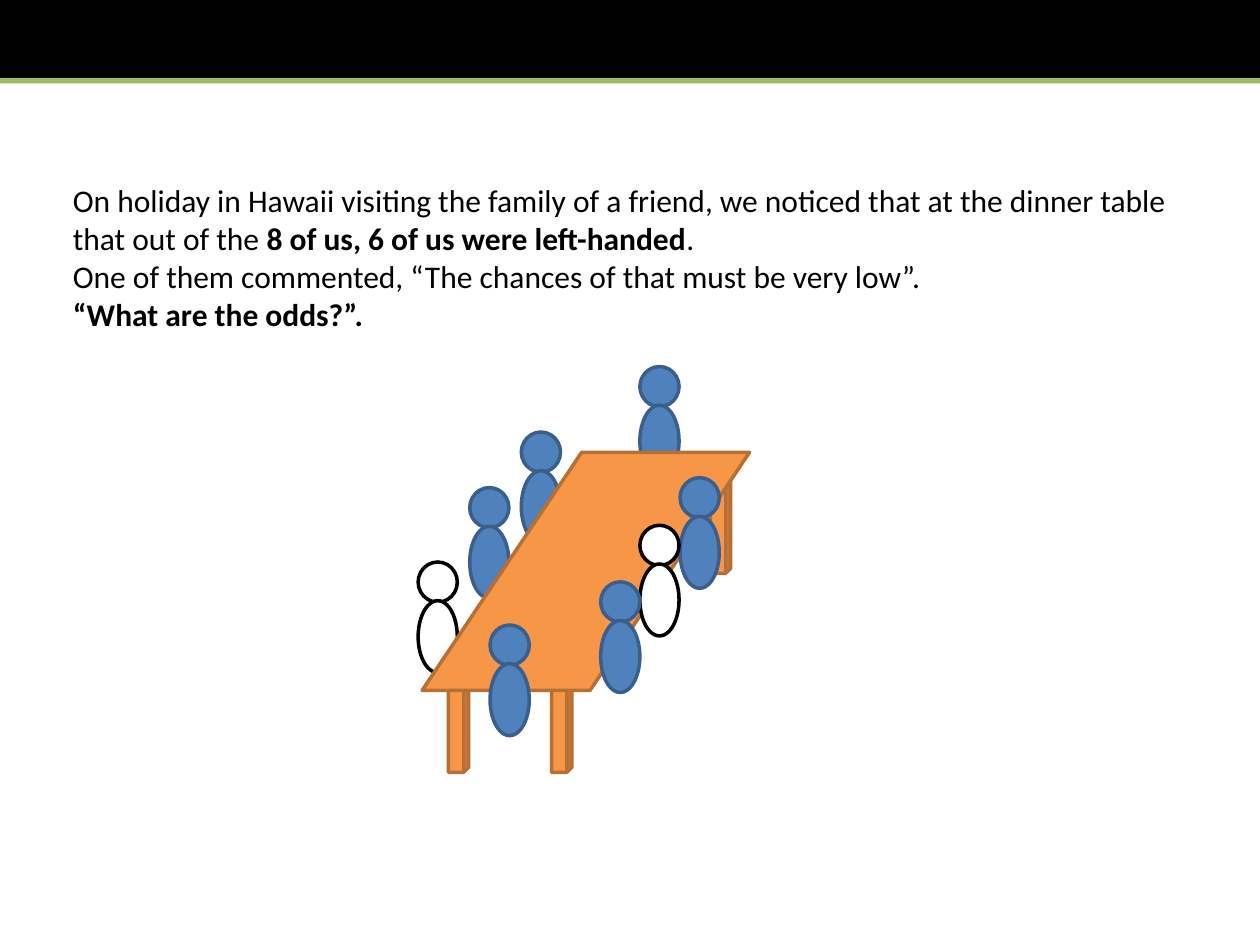
import pptx
import pptx.util
import pptx.dml.color
import pptx.enum.shapes
import pptx.enum.text
import pptx.oxml

Cm = pptx.util.Cm
Pt = pptx.util.Pt
SHAPE = pptx.enum.shapes.MSO_SHAPE

LEFT_HANDED = ("4F81BD", "3A5F8C")
RIGHT_HANDED = ("FFFFFF", "000000")
WOOD = ("F79646", "B76F34")

# Seats as (left, top, colours) in cm within the dinner scene
SEATS_BEHIND = [
    (2.08, 1.32, LEFT_HANDED),
    (1.04, 2.44, LEFT_HANDED),
    (0, 3.94, RIGHT_HANDED),
    (4.47, 0, LEFT_HANDED),
]
SEATS_IN_FRONT = [
    (5.28, 2.24, LEFT_HANDED),
    (4.47, 3.2, RIGHT_HANDED),
    (1.45, 5.21, LEFT_HANDED),
    (3.68, 4.34, LEFT_HANDED),
]
TABLE_LEGS = [(0.61, 6.25), (2.69, 6.25), (5.89, 2.24)]

# Paragraphs as lists of (text, bold)
STORY = [
    [
        ("On holiday in Hawaii visiting the family of a friend, we noticed that "
         "at the dinner table that out of the ", False),
        ("8 of us, 6 of us were left-handed", True),
        (".", False),
    ],
    [("One of them commented, “The chances of that must be very low”.", False)],
    [("“What are the odds?”.", True)],
]


def color(value):
    return pptx.dml.color.RGBColor.from_string(value)


def add_shape(slide, kind, left, top, width, height, fill, line=None):
    shape = slide.shapes.add_shape(kind, Cm(left), Cm(top), Cm(width), Cm(height))
    shape.shadow.inherit = False
    shape.fill.solid()
    shape.fill.fore_color.rgb = color(fill)
    if line:
        shape.line.color.rgb = color(line)
        shape.line.width = Pt(2)
    else:
        shape.line.fill.background()
    return shape


def add_header(slide, left, top, width, height):
    add_shape(slide, SHAPE.RECTANGLE, left, top, width, height, "000000")
    rule_top = Cm(top + height - 0.05)
    rule = slide.shapes.add_connector(
        pptx.enum.shapes.MSO_CONNECTOR.STRAIGHT,
        Cm(left), rule_top, Cm(left + width), rule_top)
    rule.line.color.rgb = color("9BBB59")
    rule.line.width = Pt(3)
    rule._element.spPr.append(pptx.oxml.parse_xml(
        '<a:effectLst xmlns:a="http://schemas.openxmlformats.org/drawingml/2006/main"/>'))


def add_story(slide, left, top, width, height):
    box = slide.shapes.add_textbox(Cm(left), Cm(top), Cm(width), Cm(height))
    frame = box.text_frame
    frame.word_wrap = True
    frame.auto_size = pptx.enum.text.MSO_AUTO_SIZE.SHAPE_TO_FIT_TEXT
    for index, parts in enumerate(STORY):
        paragraph = frame.add_paragraph() if index else frame.paragraphs[0]
        for text, bold in parts:
            run = paragraph.add_run()
            run.text = text
            run.font.color.rgb = color("000000")
            formats = {"name": "Calibri", "size": Pt(18), "bold": bold}
            for name, value in formats.items():
                setattr(run.font, name, value)


def add_person(slide, left, top, colors):
    add_shape(slide, SHAPE.OVAL, left, top, 0.79, 0.81, *colors)
    add_shape(slide, SHAPE.OVAL, left, top + 0.78, 0.79, 1.45, *colors)


def add_dinner_scene(slide, left, top):
    # People on the far side
    for x, y, colors in SEATS_BEHIND:
        add_person(slide, left + x, top + y, colors)

    # Table
    for x, y in TABLE_LEGS:
        add_shape(slide, SHAPE.CUBE, left + x, top + y, 0.41, 1.93, *WOOD)
    tabletop = add_shape(slide, SHAPE.PARALLELOGRAM,
                         left + 0.08, top + 1.73, 6.6, 4.8, *WOOD)
    tabletop.adjustments[0] = 0.67

    # People on the near side
    for x, y, colors in SEATS_IN_FRONT:
        add_person(slide, left + x, top + y, colors)


def main():
    presentation = pptx.Presentation()
    presentation.slide_width = Cm(25.4)
    presentation.slide_height = Cm(19.05)
    slide = presentation.slides.add_slide(presentation.slide_layouts[6])
    add_header(slide, 0, 0, 25.4, 1.68)
    add_story(slide, 1.22, 3.53, 23.7, 3.33)
    add_dinner_scene(slide, 8.43, 7.39)
    presentation.save("out.pptx")


if __name__ == "__main__":
    main()
